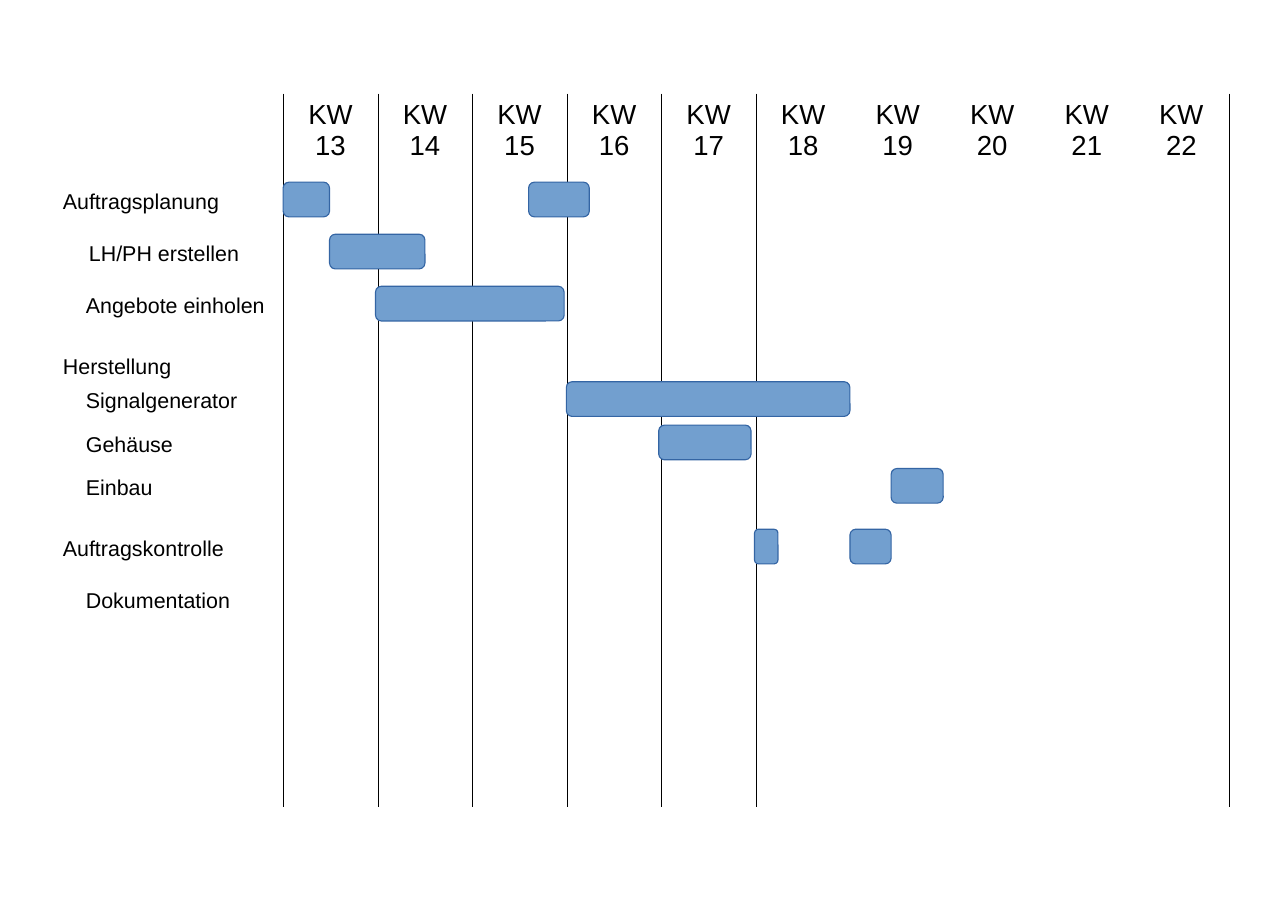
from lxml import etree
from pptx import Presentation
from pptx import util as u
from pptx.dml.color import RGBColor
from pptx.enum import shapes, text
from pptx.oxml import ns

BLACK = RGBColor(0x00, 0x00, 0x00)
WHITE = RGBColor(0xFF, 0xFF, 0xFF)
BAR_FILL = RGBColor(0x72, 0x9F, 0xCF)
BAR_LINE = RGBColor(0x34, 0x65, 0xA4)

# Boxes in cm: left, top, width, height
LABEL_BOX = (1.2, 2.16, 5.33, 16.43)
CALENDAR_BOX = (6.53, 2.16, 21.8, 16.43)

FIRST_WEEK, WEEK_COUNT = 13, 10
RULED_EDGES = {0, 1, 2, 3, 4, 5, WEEK_COUNT}
BAR_HEIGHT = 0.8

# Task, indent, distance from the box top, bars as (start, length), all in cm
TASKS = [
    ("Auftragsplanung", 0, 2.04, [(0, 1.07), (5.66, 1.4)]),
    ("LH/PH erstellen", 0.6, 3.24, [(1.07, 2.2)]),
    ("Angebote einholen", 0.53, 4.44, [(2.13, 4.35)]),
    ("Herstellung", 0, 5.84, []),
    ("Signalgenerator", 0.53, 6.64, [(6.53, 6.54)]),
    ("Gehäuse", 0.53, 7.64, [(8.66, 2.13)]),
    ("Einbau", 0.53, 8.64, [(14.02, 1.2)]),
    ("Auftragskontrolle", 0, 10.04, [(10.87, 0.54), (13.07, 0.95)]),
    ("Dokumentation", 0.53, 11.24, []),
]

FRAME_FORMAT = {
    "word_wrap": True,
    "vertical_anchor": text.MSO_ANCHOR.TOP,
    "margin_left": u.Cm(0.25),
    "margin_right": u.Cm(0.25),
    "margin_top": u.Cm(0.13),
    "margin_bottom": u.Cm(0.13),
}
CELL_FORMAT = {key: value for key, value in FRAME_FORMAT.items() if key != "word_wrap"}


def apply_format(target, values):
    for key, value in values.items():
        setattr(target, key, value)


def write(paragraph, wording, size):
    run = paragraph.add_run()
    run.text = wording
    apply_format(run.font, {"name": "Arial", "size": u.Pt(size), "bold": False})
    run.font.color.rgb = BLACK


def set_borders(cell, colors):
    properties = cell._tc.get_or_add_tcPr()
    for position, (side, color) in enumerate(colors.items()):
        border = etree.Element(ns.qn(f"a:{side}"), w=str(u.Pt(0.06)))
        fill = etree.SubElement(border, ns.qn("a:solidFill"))
        etree.SubElement(fill, ns.qn("a:srgbClr"), val=str(color))
        properties.insert(position, border)


def edge_color(edge):
    return BLACK if edge in RULED_EDGES else WHITE


def add_calendar(slide, box):
    """Week columns with their vertical rules."""
    calendar = slide.shapes.add_table(1, WEEK_COUNT, *map(u.Cm, box)).table
    apply_format(calendar, {"first_row": False, "horz_banding": False})
    calendar.rows[0].height = u.Cm(box[3])
    for index, column in enumerate(calendar.columns):
        column.width = u.Cm(box[2] / WEEK_COUNT)
        week = calendar.cell(0, index)
        apply_format(week, CELL_FORMAT)
        week.fill.solid()
        week.fill.fore_color.rgb = WHITE
        heading = week.text_frame.paragraphs[0]
        heading.alignment = text.PP_ALIGN.CENTER
        write(heading, f"KW {FIRST_WEEK + index}", 18)
        set_borders(week, {"lnL": edge_color(index), "lnR": edge_color(index + 1),
                           "lnT": WHITE, "lnB": WHITE})


def add_task_labels(slide, box):
    """Task names, indented under their phase."""
    left, top, width, _ = box
    for name, indent, offset, _ in TASKS:
        label = slide.shapes.add_textbox(u.Cm(left + indent), u.Cm(top + offset),
                                         u.Cm(width - indent), u.Cm(BAR_HEIGHT))
        apply_format(label.text_frame, FRAME_FORMAT)
        write(label.text_frame.paragraphs[0], name, 14)


def add_task_bars(slide, box):
    """Duration bars on the calendar."""
    left, top = box[:2]
    for _, _, offset, bars in TASKS:
        for start, length in bars:
            bar = slide.shapes.add_shape(
                shapes.MSO_SHAPE.ROUNDED_RECTANGLE, u.Cm(left + start),
                u.Cm(top + offset), u.Cm(length), u.Cm(BAR_HEIGHT))
            bar.shadow.inherit = False
            bar.fill.solid()
            bar.fill.fore_color.rgb = BAR_FILL
            bar.line.color.rgb = BAR_LINE
            bar.line.width = u.Pt(0)


def main():
    schedule = Presentation()
    apply_format(schedule, {"slide_width": u.Cm(29.7), "slide_height": u.Cm(21)})
    slide = schedule.slides.add_slide(schedule.slide_layouts[6])
    add_calendar(slide, CALENDAR_BOX)
    add_task_labels(slide, LABEL_BOX)
    add_task_bars(slide, CALENDAR_BOX)
    schedule.save("out.pptx")


if __name__ == "__main__":
    main()
